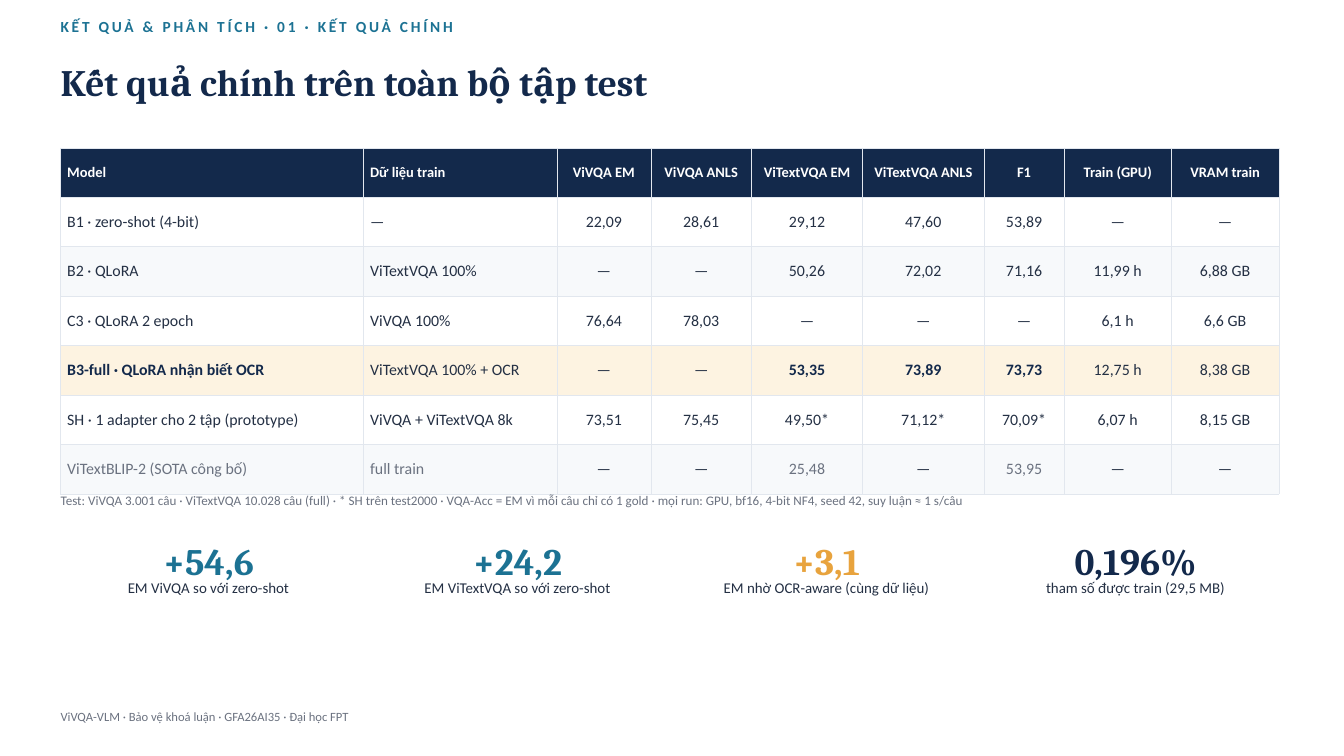
from lxml import etree
from pptx import Presentation
from pptx import util as u
from pptx.dml.color import RGBColor
from pptx.enum import text
from pptx.oxml import ns

NAVY = RGBColor(0x13, 0x29, 0x4B)
TEAL = RGBColor(0x1C, 0x72, 0x93)
AMBER = RGBColor(0xE8, 0xA3, 0x3D)
INK = RGBColor(0x24, 0x30, 0x44)
GREY = RGBColor(0x6B, 0x72, 0x80)
WHITE = RGBColor(0xFF, 0xFF, 0xFF)
STRIPE = RGBColor(0xF7, 0xF9, 0xFB)
HIGHLIGHT = RGBColor(0xFD, 0xF3, 0xE1)
GRID = RGBColor(0xE2, 0xE7, 0xEE)

BODY, SERIF = "Calibri", "Cambria"
LEFT, FULL_WIDTH = 2.29, 46.23
ROW_HEIGHT = 1.87
COLUMN_WIDTHS = [11.45, 7.31, 3.55, 3.81, 4.19, 4.6, 3.02, 4.06, 4.06]
BEST_ROW, REFERENCE_ROW = 4, 6
BOLD_COLUMNS = (0, 4, 5, 6)
DASH = "—"

RESULTS = [
    ["Model", "Dữ liệu train", "ViVQA EM", "ViVQA ANLS", "ViTextVQA EM",
     "ViTextVQA ANLS", "F1", "Train (GPU)", "VRAM train"],
    ["B1 · zero-shot (4-bit)", DASH, "22,09", "28,61", "29,12", "47,60", "53,89", DASH, DASH],
    ["B2 · QLoRA", "ViTextVQA 100%", DASH, DASH, "50,26", "72,02", "71,16", "11,99 h", "6,88 GB"],
    ["C3 · QLoRA 2 epoch", "ViVQA 100%", "76,64", "78,03", DASH, DASH, DASH, "6,1 h", "6,6 GB"],
    ["B3-full · QLoRA nhận biết OCR", "ViTextVQA 100% + OCR", DASH, DASH,
     "53,35", "73,89", "73,73", "12,75 h", "8,38 GB"],
    ["SH · 1 adapter cho 2 tập (prototype)", "ViVQA + ViTextVQA 8k", "73,51", "75,45",
     "49,50*", "71,12*", "70,09*", "6,07 h", "8,15 GB"],
    ["ViTextBLIP-2 (SOTA công bố)", "full train", DASH, DASH, "25,48", DASH, "53,95", DASH, DASH],
]

HEADLINES = [
    ("+54,6", "EM ViVQA so với zero-shot", TEAL),
    ("+24,2", "EM ViTextVQA so với zero-shot", TEAL),
    ("+3,1", "EM nhờ OCR-aware (cùng dữ liệu)", AMBER),
    ("0,196%", "tham số được train (29,5 MB)", NAVY),
]


def write(para, words, size, color, line, bold=False, font=BODY, centred=False):
    para.text = words
    para.line_spacing = u.Pt(line)
    para.alignment = text.PP_ALIGN.CENTER if centred else text.PP_ALIGN.LEFT
    para.font.name = font
    para.font.size = u.Pt(size)
    para.font.bold = bold
    para.font.color.rgb = color


def add_text(page, left, top, width, height, words, size, color, line, **style):
    box = page.shapes.add_textbox(u.Cm(left), u.Cm(top), u.Cm(width), u.Cm(height))
    frame = box.text_frame
    frame.word_wrap = True
    frame.auto_size = text.MSO_AUTO_SIZE.SHAPE_TO_FIT_TEXT
    frame.margin_left = frame.margin_right = frame.margin_top = frame.margin_bottom = 0
    write(frame.paragraphs[0], words, size, color, line, **style)
    return frame.paragraphs[0]


def add_borders(cell):
    properties = cell._tc.get_or_add_tcPr()
    for side in ("a:lnL", "a:lnR", "a:lnT", "a:lnB"):
        border = etree.SubElement(properties, ns.qn(side), w=str(u.Pt(0.75)))
        fill = etree.SubElement(border, ns.qn("a:solidFill"))
        etree.SubElement(fill, ns.qn("a:srgbClr"), val=str(GRID))


def row_fill(row):
    if row == 0:
        return NAVY
    if row == BEST_ROW:
        return HIGHLIGHT
    return WHITE if row % 2 else STRIPE


def cell_style(row, column, words):
    if row == 0:
        return {"size": 15.5, "color": WHITE, "line": 18.6, "bold": True}
    bold = row == BEST_ROW and column in BOLD_COLUMNS
    color = NAVY if bold else INK
    if row == REFERENCE_ROW and words != DASH:
        color = GREY
    return {"size": 17, "color": color, "line": 20.4, "bold": bold}


def add_results(page):
    frame = page.shapes.add_table(
        len(RESULTS), len(COLUMN_WIDTHS), u.Cm(LEFT), u.Cm(5.59),
        u.Cm(sum(COLUMN_WIDTHS)), u.Cm(ROW_HEIGHT * len(RESULTS)))
    table = frame.table
    table.horz_banding = False
    for column, width in zip(table.columns, COLUMN_WIDTHS):
        column.width = u.Cm(width)
    for r, values in enumerate(RESULTS):
        table.rows[r].height = u.Cm(ROW_HEIGHT)
        for c, words in enumerate(values):
            cell = table.cell(r, c)
            cell.vertical_anchor = text.MSO_ANCHOR.MIDDLE
            cell.margin_left = cell.margin_right = u.Cm(0.25)
            cell.margin_top = cell.margin_bottom = u.Cm(0.25)
            add_borders(cell)
            cell.fill.solid()
            cell.fill.fore_color.rgb = row_fill(r)
            write(cell.text_frame.paragraphs[0], words, centred=c > 1,
                  **cell_style(r, c, words))


def add_headlines(page):
    width, gap = 11.18, 0.5
    for i, (figure, caption, color) in enumerate(HEADLINES):
        left = LEFT + i * (width + gap)
        add_text(page, left, 20.14, width, 2.46, figure, 40, color, 53.8,
                 bold=True, font=SERIF, centred=True)
        add_text(page, left, 21.84, width, 2.13, caption, 16, INK, 20.1, centred=True)


def main():
    deck = Presentation()
    deck.slide_width, deck.slide_height = u.Cm(50.8), u.Cm(28.58)
    page = deck.slides.add_slide(deck.slide_layouts[6])

    kicker = add_text(page, LEFT, 0.66, FULL_WIDTH, 1.7,
                      "KẾT QUẢ & PHÂN TÍCH · 01 · KẾT QUẢ CHÍNH", 16.5, TEAL, 19.8, bold=True)
    kicker.runs[0].font._element.set("spc", "300")
    add_text(page, LEFT, 1.9, FULL_WIDTH, 3.12, "Kết quả chính trên toàn bộ tập test",
             40, NAVY, 57.6, bold=True, font=SERIF)
    add_results(page)
    add_text(page, LEFT, 18.54, FULL_WIDTH, 1.4,
             "Test: ViVQA 3.001 câu · ViTextVQA 10.028 câu (full) · * SH trên test2000 · "
             "VQA-Acc = EM vì mỗi câu chỉ có 1 gold · mọi run: GPU, bf16, 4-bit NF4, seed 42, "
             "suy luận ≈ 1 s/câu", 14, GREY, 18.8)
    add_headlines(page)
    add_text(page, LEFT, 26.74, 38.1, 1.14,
             "ViVQA-VLM · Bảo vệ khoá luận · GFA26AI35 · Đại học FPT", 13.5, GREY, 18.1)
    deck.save("out.pptx")


if __name__ == "__main__":
    main()
